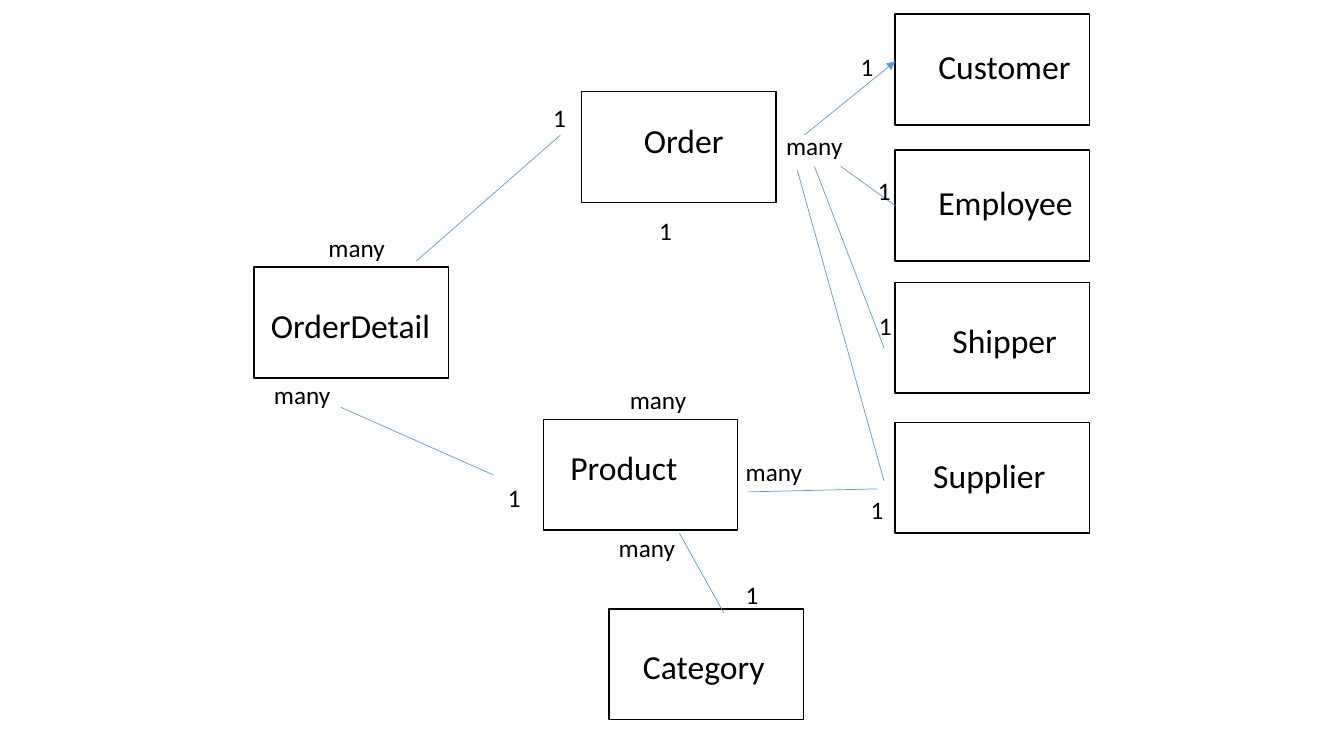
from lxml.etree import SubElement
from pptx import Presentation
from pptx.dml.color import RGBColor
from pptx.enum.shapes import MSO_CONNECTOR, MSO_SHAPE
from pptx.enum.text import MSO_AUTO_SIZE
from pptx.oxml.ns import qn
from pptx.util import Inches, Pt

BLACK = RGBColor(0x00, 0x00, 0x00)
WHITE = RGBColor(0xFF, 0xFF, 0xFF)
BLUE = RGBColor(0x5B, 0x9B, 0xD5)

SLIDE_COLUMNS, SLIDE_ROWS = 133.33, 75
ENTITY_COLUMNS, ENTITY_ROWS = 19.3, 11
RIGHT_COLUMN = 88.8


def grid(*cells):
    return [Inches(cell / 10) for cell in cells]


class EntityDiagram:
    font_name = "Calibri"
    name_size, name_rows = Pt(24), 5
    label_size, label_rows = Pt(18), 4

    def __init__(self, slide):
        self.slide = slide

    def text(self, words, left, top, width, height, size, wrap):
        box = self.slide.shapes.add_textbox(*grid(left, top, width, height))
        frame = box.text_frame
        frame.text = words
        frame.word_wrap = wrap
        frame.auto_size = MSO_AUTO_SIZE.SHAPE_TO_FIT_TEXT
        font = frame.paragraphs[0].runs[0].font
        font.name, font.size = self.font_name, size
        font.color.rgb = BLACK

    def entity(self, name, left, top, indent, drop, name_width):
        shape = self.slide.shapes.add_shape(
            MSO_SHAPE.RECTANGLE, *grid(left, top, ENTITY_COLUMNS, ENTITY_ROWS))
        shape.shadow.inherit = False
        shape.fill.solid()
        shape.fill.fore_color.rgb = WHITE
        shape.line.color.rgb = BLACK
        shape.line.width = Pt(1)
        self.text(name, left + indent, top + drop, name_width,
                  self.name_rows, self.name_size, False)

    def relation(self, start, end, arrow=False):
        connector = self.slide.shapes.add_connector(
            MSO_CONNECTOR.STRAIGHT, *grid(*start, *end))
        connector.line.color.rgb = BLUE
        connector.line.width = Pt(0.5)
        if arrow:
            SubElement(connector.line._get_or_add_ln(), qn("a:tailEnd"), type="triangle")
        SubElement(connector._element.spPr, qn("a:effectLst"))

    def cardinality(self, words, left, top, width, wrap):
        self.text(words, left, top, width, self.label_rows, self.label_size, wrap)


presentation = Presentation()
presentation.slide_width, presentation.slide_height = grid(SLIDE_COLUMNS, SLIDE_ROWS)
diagram = EntityDiagram(presentation.slides.add_slide(presentation.slide_layouts[6]))

entities = [
    ("Customer", RIGHT_COLUMN, 1.4, 3.3, 2.7, 15.3),
    ("Employee", RIGHT_COLUMN, 14.9, 3.3, 2.7, 15.5),
    ("Shipper", RIGHT_COLUMN, 28, 4.7, 3.2, 12.5),
    ("Supplier", RIGHT_COLUMN, 41.9, 2.8, 2.7, 13.3),
    ("Order", 57.7, 9.1, 5.2, 2.3, 10),
    ("OrderDetail", 25.2, 26.5, 0.7, 3.3, 18),
    ("Product", 53.9, 41.6, 1.7, 2.2, 12.7),
    ("Category", 60.4, 60.4, 2.4, 3.2, 14.2),
]
for entity in entities:
    diagram.entity(*entity)

diagram.relation((79.8, 13.4), (RIGHT_COLUMN, 6.1), arrow=True)
relations = [
    ((83.4, 16.5), (RIGHT_COLUMN, 20.4)),
    ((80.8, 16.5), (87.7, 34.5)),
    ((79.1, 16.9), (87.7, 47.7)),
    ((41.3, 25.9), (55.6, 13.4)),
    ((33.8, 40.4), (48.9, 47.1)),
    ((67.4, 52.9), (71.8, 60.8)),
    ((74.2, 48.8), (87, 48.5)),
]
for start, end in relations:
    diagram.relation(start, end)

cardinalities = [
    ("1", 3.4, True, [(84.4, 4.6), (86.1, 16.9), (86.2, 30.3), (85.4, 48.5), (53.9, 9.7)]),
    ("1", 2.7, True, [(64.4, 20.9), (73, 57), (49.4, 47.4)]),
    ("many", 7.7, False, [(77, 12.4), (31.6, 22.6), (61.5, 37.6), (26.2, 37.1), (60.4, 52.3)]),
    ("many", 8.7, True, [(73, 44.8)]),
]
for words, width, wrap, positions in cardinalities:
    for left, top in positions:
        diagram.cardinality(words, left, top, width, wrap)

presentation.save("out.pptx")
